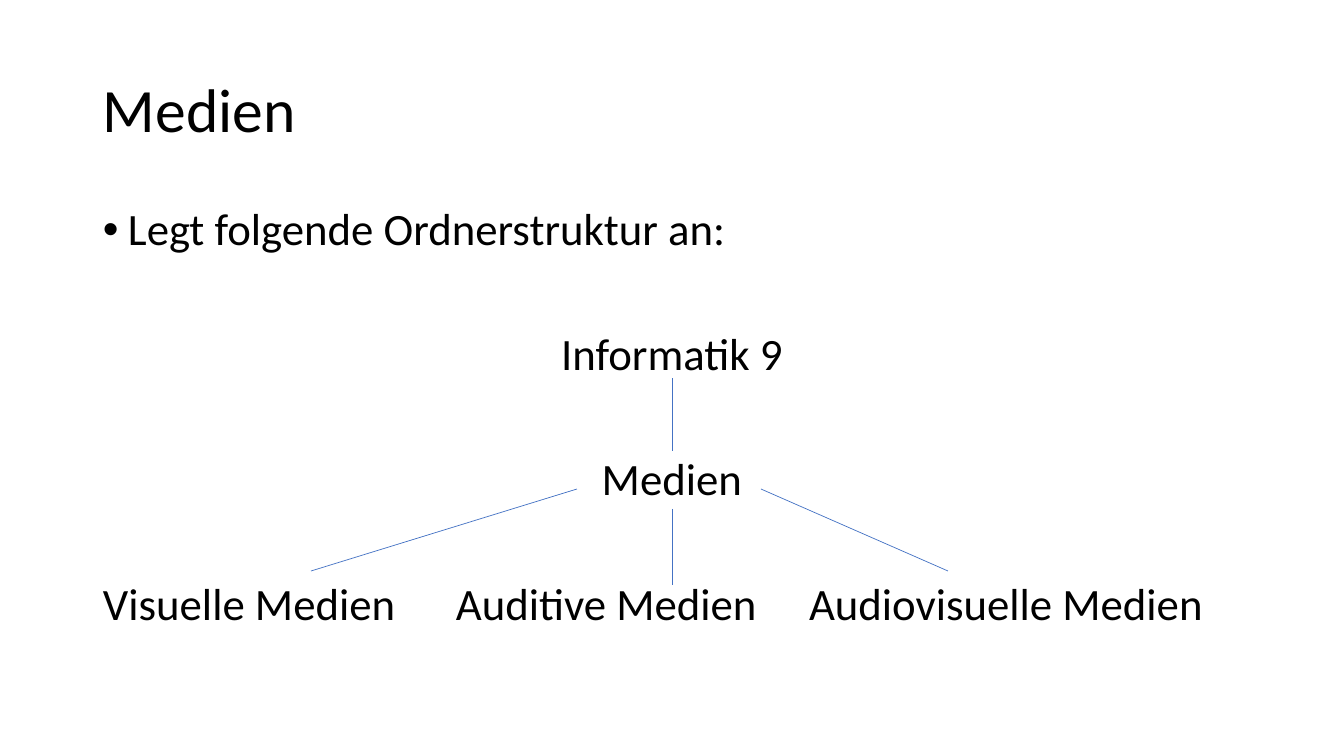
import pptx
import pptx.util
import pptx.dml.color
import pptx.enum.shapes
import pptx.enum.text
import pptx.oxml.ns
import lxml.etree
import dataclasses


@dataclasses.dataclass(frozen=True)
class Theme:
    font: str = "Calibri"
    text: str = "000000"
    branch: str = "4472C4"
    title_size: int = 44
    body_size: int = 32
    branch_width: float = 0.5


theme = Theme()
align = pptx.enum.text.PP_ALIGN
anchors = pptx.enum.text.MSO_ANCHOR
qn = pptx.oxml.ns.qn


def px(length):
    return pptx.util.Emu(round(length * 914400 / 100.8))


def write(text, box, holder=None, size=theme.body_size, alignment=align.LEFT,
          anchor=anchors.TOP, bullet_indent=0):
    left, top, width, height = map(px, box)
    if holder is None:
        holder = slide.shapes.add_textbox(left, top, width, height)
    holder.left, holder.top, holder.width, holder.height = left, top, width, height
    frame = holder.text_frame
    frame.word_wrap = True
    frame.auto_size = pptx.enum.text.MSO_AUTO_SIZE.NONE
    frame.vertical_anchor = anchor
    frame.margin_left = frame.margin_right = frame.margin_top = frame.margin_bottom = 0
    paragraph = frame.paragraphs[0]
    paragraph.alignment = alignment
    paragraph.line_spacing = 0.9
    run = paragraph.add_run()
    run.text = text
    run.font.name = theme.font
    run.font.size = pptx.util.Pt(size)
    run.font.color.rgb = pptx.dml.color.RGBColor.from_string(theme.text)
    if bullet_indent:
        properties = paragraph._p.get_or_add_pPr()
        properties.set("marL", str(px(bullet_indent)))
        properties.set("indent", str(-px(bullet_indent)))
        lxml.etree.SubElement(properties, qn("a:buFont")).set("typeface", "Arial")
        lxml.etree.SubElement(properties, qn("a:buChar")).set("char", "•")


presentation = pptx.Presentation()
presentation.slide_width, presentation.slide_height = px(1344), px(756)
slide = presentation.slides.add_slide(presentation.slide_layouts[5])

margin, content_width = 103, 1138
first_row, row_step, row_height = 207, 125, 50
column_step = 353

write("Medien", (margin, 40, content_width, 146), holder=slide.shapes.title,
      size=theme.title_size, anchor=anchors.MIDDLE)
write("Legt folgende Ordnerstruktur an:",
      (margin, first_row, content_width, row_height), bullet_indent=25)

for level, folder in enumerate(["Informatik 9", "Medien"], start=1):
    write(folder, (margin, first_row + level * row_step, content_width, row_height),
          alignment=align.CENTER)

subfolders = ["Visuelle Medien", "Auditive Medien", "Audiovisuelle Medien"]
for column, subfolder in enumerate(subfolders):
    write(subfolder, (margin + column * column_step, first_row + 3 * row_step,
                      430 if column == 2 else 340, row_height))

branches = [
    (672, 378, 672, 451),
    (311, 571, 577, 489),
    (672, 509, 672, 585),
    (761, 489, 948, 571),
]
for ends in branches:
    branch = slide.shapes.add_connector(
        pptx.enum.shapes.MSO_CONNECTOR.STRAIGHT, *map(px, ends))
    branch.line.color.rgb = pptx.dml.color.RGBColor.from_string(theme.branch)
    branch.line.width = pptx.util.Pt(theme.branch_width)
    lxml.etree.SubElement(branch._element.spPr, qn("a:effectLst"))

presentation.save("out.pptx")
